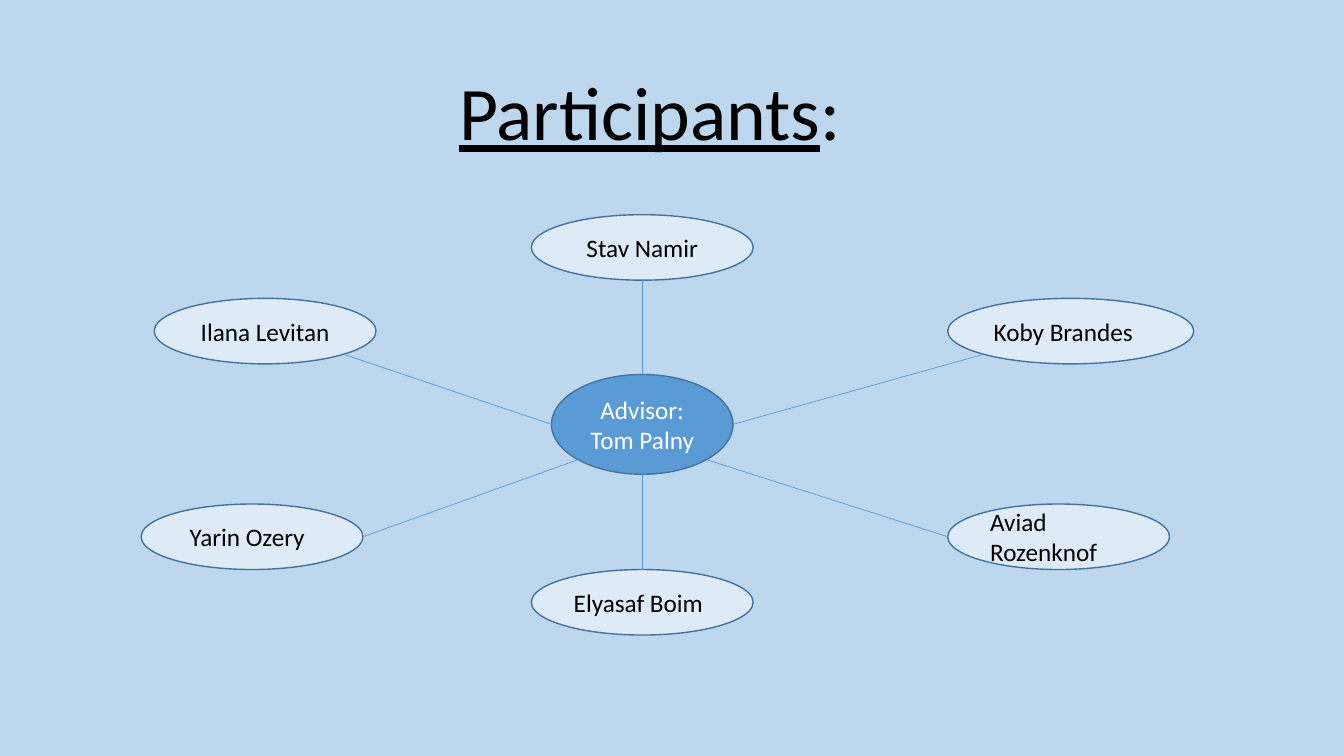
from math import cos, radians, sin

from pptx import Presentation
from pptx.dml.color import RGBColor
from pptx.enum.shapes import MSO_CONNECTOR as Connector, MSO_SHAPE as Shape
from pptx.enum.text import MSO_ANCHOR as Anchor, MSO_AUTO_SIZE as AutoSize, PP_ALIGN as Align
from pptx.oxml.ns import qn
from pptx.util import Inches, Pt
from lxml.etree import SubElement

WIDTH, HEIGHT = 13.33, 7.5
BACKGROUND, ADVISOR_FILL, MEMBER_FILL = "BDD7EE", "5B9BD5", "DEEBF7"
OUTLINE, BLACK, WHITE = "43739E", "000000", "FFFFFF"

TITLE = [("Participants", True), (": ", False)]
ADVISOR = "Advisor:\nTom Palny"
CENTER = (6.37, 4.21)
ADVISOR_SIZE = (1.8, 0.99)
MEMBER_WIDTH, MEMBER_HEIGHT = 2.2, 0.65
TOP_ROW, UPPER_ROW, LOWER_ROW, BOTTOM_ROW = 2.13, 2.96, 5, 5.65
MIDDLE_COLUMN, RIGHT_COLUMN = CENTER[0] - MEMBER_WIDTH / 2, 9.4

# name, left, top, width, alignment, left inset, advisor angle, member angle
MEMBERS = [
    ("Ilana Levitan", 1.53, UPPER_ROW, MEMBER_WIDTH, Align.CENTER, 0.1, 180, 45),
    ("Yarin Ozery", 1.4, LOWER_ROW, MEMBER_WIDTH, Align.LEFT, 0.16, 135, 0),
    ("Elyasaf Boim", MIDDLE_COLUMN, BOTTOM_ROW, MEMBER_WIDTH, Align.LEFT, 0.1, 90, 270),
    ("Aviad Rozenknof", RIGHT_COLUMN, LOWER_ROW, MEMBER_WIDTH, Align.LEFT, 0.1, 45, 180),
    ("Stav Namir", MIDDLE_COLUMN, TOP_ROW, MEMBER_WIDTH, Align.CENTER, 0.1, 270, 90),
    ("Koby Brandes", RIGHT_COLUMN, UPPER_ROW, 2.44, Align.LEFT, 0.1, 0, 135),
]


def color(value):
    return RGBColor.from_string(value)


def write(para, text, size=18, ink=BLACK, underline=False, align=Align.CENTER):
    para.alignment = align
    for number, line in enumerate(text.split("\n")):
        if number:
            para.add_line_break()
        span = para.add_run()
        span.text = line
        span.font.name = "Calibri"
        span.font.size = Pt(size)
        span.font.underline = underline
        span.font.color.rgb = color(ink)


def add_ellipse(page, box, fill, text, inset=0.1, **text_format):
    oval = page.shapes.add_shape(Shape.OVAL, *map(Inches, box))
    oval.shadow.inherit = False
    oval.fill.solid()
    oval.fill.fore_color.rgb = color(fill)
    oval.line.color.rgb = color(OUTLINE)
    oval.line.width = Pt(1)
    frame = oval.text_frame
    frame.word_wrap = True
    frame.vertical_anchor = Anchor.MIDDLE
    frame.margin_left = Inches(inset)
    write(frame.paragraphs[0], text, **text_format)


def rim_point(box, angle):
    left, top, width, height = box
    turn = radians(angle)
    return left + width / 2 * (1 + cos(turn)), top + height / 2 * (1 + sin(turn))


def add_spoke(page, start, end):
    spoke = page.shapes.add_connector(Connector.STRAIGHT, *map(Inches, start + end))
    spoke.line.color.rgb = color(ADVISOR_FILL)
    spoke.line.width = Pt(0.5)
    SubElement(spoke._element.spPr, qn("a:effectLst"))


def add_title(page):
    title = page.shapes.title
    title.left, title.top, title.width, title.height = map(Inches, (1.53, 0.28, 10, 1.33))
    frame = title.text_frame
    frame.auto_size = AutoSize.NONE
    frame.word_wrap = True
    frame.vertical_anchor = Anchor.BOTTOM
    para = frame.paragraphs[0]
    para.line_spacing = 0.9
    for text, underline in TITLE:
        write(para, text, size=54, underline=underline)


def main():
    deck = Presentation()
    deck.slide_width, deck.slide_height = Inches(WIDTH), Inches(HEIGHT)
    page = deck.slides.add_slide(deck.slide_layouts[5])
    page.background.fill.solid()
    page.background.fill.fore_color.rgb = color(BACKGROUND)
    add_title(page)

    advisor_box = tuple(c - s / 2 for c, s in zip(CENTER, ADVISOR_SIZE)) + ADVISOR_SIZE
    add_ellipse(page, advisor_box, ADVISOR_FILL, ADVISOR, ink=WHITE)
    for name, left, top, width, align, inset, advisor_angle, member_angle in MEMBERS:
        member_box = (left, top, width, MEMBER_HEIGHT)
        add_ellipse(page, member_box, MEMBER_FILL, name, inset=inset, align=align)
        add_spoke(page, rim_point(advisor_box, advisor_angle), rim_point(member_box, member_angle))
    deck.save("out.pptx")


if __name__ == "__main__":
    main()
